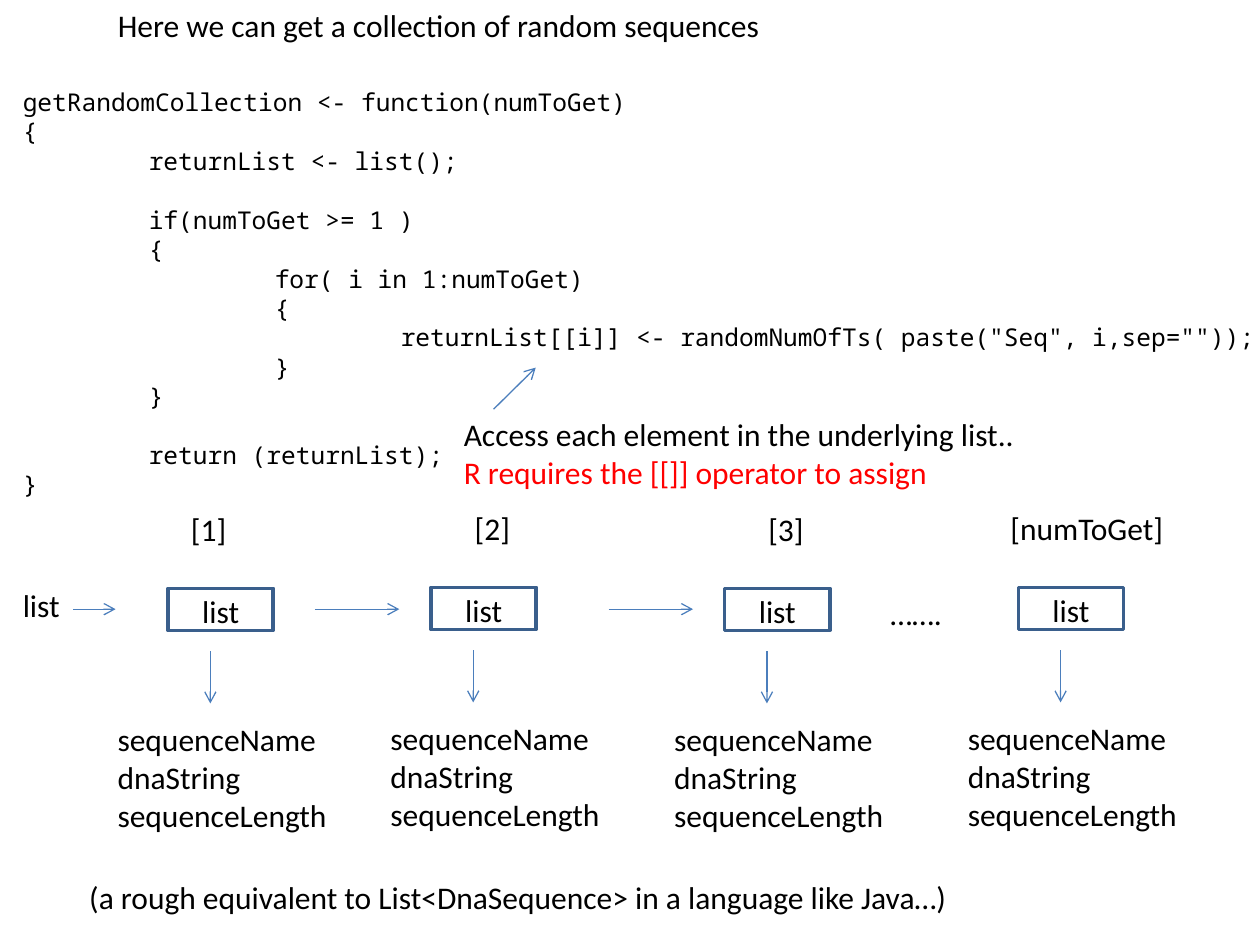
from dataclasses import dataclass

from lxml import etree
from pptx import Presentation
from pptx import util as u
from pptx.dml.color import RGBColor
from pptx.enum import shapes, text
from pptx.oxml.ns import qn


@dataclass(frozen=True)
class Theme:
    """Fonts, sizes in points and colours."""
    body: str = "Calibri"
    mono: str = "Noto Sans Mono"
    size: int = 18
    code: int = 14
    gap: float = 16.8
    ink: str = "000000"
    alert: str = "FF0000"
    edge: str = "3A5F8C"
    arrow: str = "4B7EBC"


class Page:
    """Draws styled elements on one slide; lengths are in centimetres."""

    def __init__(self, deck, theme):
        """Add a title-only slide."""
        self.theme = theme
        self.slide = deck.slides.add_slide(deck.slide_layouts[5])

    def run(self, para, words, color=None, font=None, size=None):
        """Add one run to a paragraph."""
        run = para.add_run()
        run.text = words
        run.font.name = font or self.theme.body
        run.font.size = u.Pt(size or self.theme.size)
        run.font.color.rgb = RGBColor.from_string(color or self.theme.ink)

    def paras(self, frame, count):
        """Return the first paragraph and as many more as needed."""
        return [frame.paragraphs[0]] + [frame.add_paragraph() for _ in range(count - 1)]

    def title(self, words, x, y, w, h):
        """Place and fill the title."""
        title = self.slide.shapes.title
        title.left, title.top, title.width, title.height = map(u.Cm, (x, y, w, h))
        frame = title.text_frame
        frame.auto_size = text.MSO_AUTO_SIZE.NONE
        frame.vertical_anchor = text.MSO_ANCHOR.TOP
        frame.paragraphs[0].alignment = text.PP_ALIGN.LEFT
        self.run(frame.paragraphs[0], words)

    def frame(self, x, y, w, h, wrap=True):
        """Add a text box and return its frame."""
        box = self.slide.shapes.add_textbox(*map(u.Cm, (x, y, w, h)))
        box.text_frame.word_wrap = wrap
        return box.text_frame

    def note(self, lines, x, y, w, h, wrap=True, colors=()):
        """Add lines of body text, with a colour for each if given."""
        frame = self.frame(x, y, w, h, wrap)
        for i, para in enumerate(self.paras(frame, len(lines))):
            self.run(para, lines[i], colors[i] if colors else None)

    def code(self, lines, x, y, w, h):
        """Add code from (level, gap before, words) lines."""
        frame = self.frame(x, y, w, h)
        for para, (level, gap, words) in zip(self.paras(frame, len(lines)), lines):
            para._p.get_or_add_pPr().set("marL", str(u.Cm(2.54 * level)))
            if gap:
                para.space_before = u.Pt(self.theme.gap)
            self.run(para, words, font=self.theme.mono, size=self.theme.code)

    def node(self, words, x, y, w, h):
        """Add an outlined box with a centred word."""
        box = self.slide.shapes.add_shape(
            shapes.MSO_SHAPE.RECTANGLE, *map(u.Cm, (x, y, w, h)))
        box.shadow.inherit = False
        box.fill.background()
        box.line.color.rgb = RGBColor.from_string(self.theme.edge)
        box.line.width = u.Pt(2)
        frame = box.text_frame
        frame.vertical_anchor = text.MSO_ANCHOR.TOP
        frame.margin_top, frame.margin_bottom = u.Cm(0.07), 0
        frame.paragraphs[0].alignment = text.PP_ALIGN.CENTER
        self.run(frame.paragraphs[0], words)

    def arrow(self, x1, y1, x2, y2):
        """Add a thin line with an open arrowhead at its end."""
        line = self.slide.shapes.add_connector(
            shapes.MSO_CONNECTOR.STRAIGHT, *map(u.Cm, (x1, y1, x2, y2)))
        line.line.color.rgb = RGBColor.from_string(self.theme.arrow)
        line.line.width = u.Pt(0.75)
        etree.SubElement(line.line._get_or_add_ln(), qn("a:tailEnd"), type="arrow")
        etree.SubElement(line._element.spPr, qn("a:effectLst"))


CODE = [
    (0, False, "getRandomCollection <- function(numToGet) "),
    (0, False, "{"),
    (1, False, "returnList <- list();"),
    (1, True, "if(numToGet >= 1 ) "),
    (1, False, "{"),
    (2, False, "for( i in 1:numToGet) "),
    (2, False, "{"),
    (3, False, 'returnList[[i]] <- randomNumOfTs( paste("Seq", i,sep=""));'),
    (2, False, "}"),
    (1, False, "}"),
    (1, True, "return (returnList);"),
    (0, False, "}"),
]
FIELDS = ["sequenceName", "dnaString", "sequenceLength"]
# label, node left, node top, label left, fields left, fields width
ITEMS = [
    ("[1]", 3.39, 11.86, 3.6, 2.12, 4.88),
    ("[2]", 8.69, 11.84, 9.32, 7.62, 5.28),
    ("[3]", 14.61, 11.86, 15.24, 13.34, 5.28),
    ("[numToGet]", 20.53, 11.84, 20.12, 19.26, 5.72),
]


def build():
    """Build and save the slide."""
    deck = Presentation()
    deck.slide_width, deck.slide_height = u.Cm(25.4), u.Cm(19.05)
    theme = Theme()
    page = Page(deck, theme)

    page.title("Here we can get a collection of random sequences ", 2.12, 0, 16.51, 1.02)
    page.code(CODE, 0.21, 1.63, 25.6, 8.6)
    page.arrow(9.95, 8.25, 10.8, 7.41)
    page.note(["Access each element in the underlying list..",
               "R requires the [[]] operator to assign "],
              9.1, 8.25, 11.73, 1.8, False, (theme.ink, theme.alert))

    page.note(["list"], 0.21, 11.68, 1.27, 1.02, False)
    page.arrow(1.48, 12.28, 2.33, 12.28)
    for label, x, y, label_x, field_x, field_w in ITEMS:
        page.node("list", x, y, 2.12, 0.85)
        page.note([label], label_x, y - 1.7, 4.66, 1.02)
        page.arrow(x + 0.85, y + 1.27, x + 0.85, y + 2.32)
        page.note(FIELDS, field_x, y + 2.54, field_w, 2.56)
    for item in ITEMS[1:3]:
        end = item[1] - 0.64
        page.arrow(end - 1.7, 12.28, end, 12.28)
    page.note(["……."], 17.7, 11.86, 1.55, 1.02, False)

    page.note(["(a rough equivalent to List<DnaSequence> in a language like Java…)"],
              1.55, 17.58, 18.01, 1.02, False)
    deck.save("out.pptx")


build()
